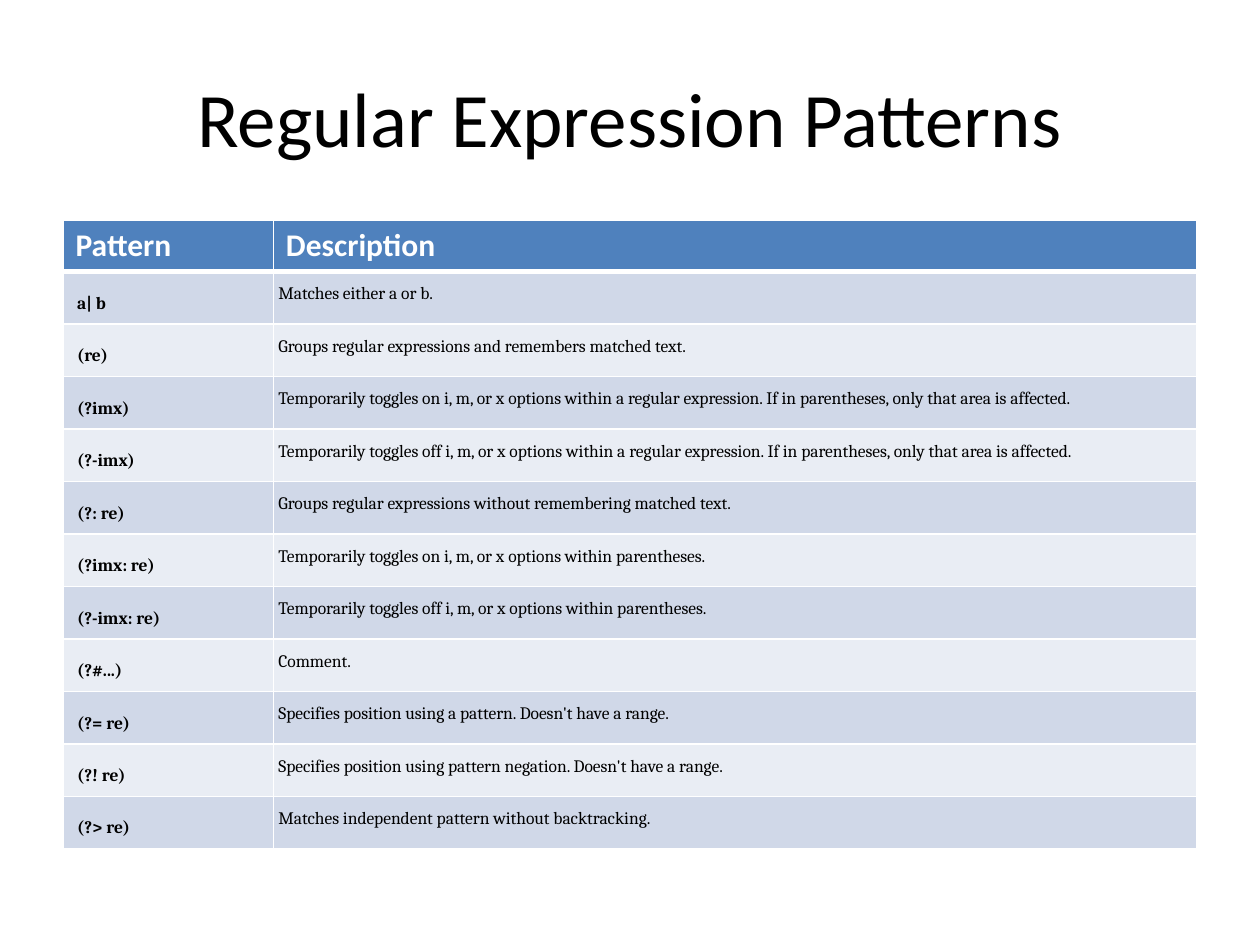
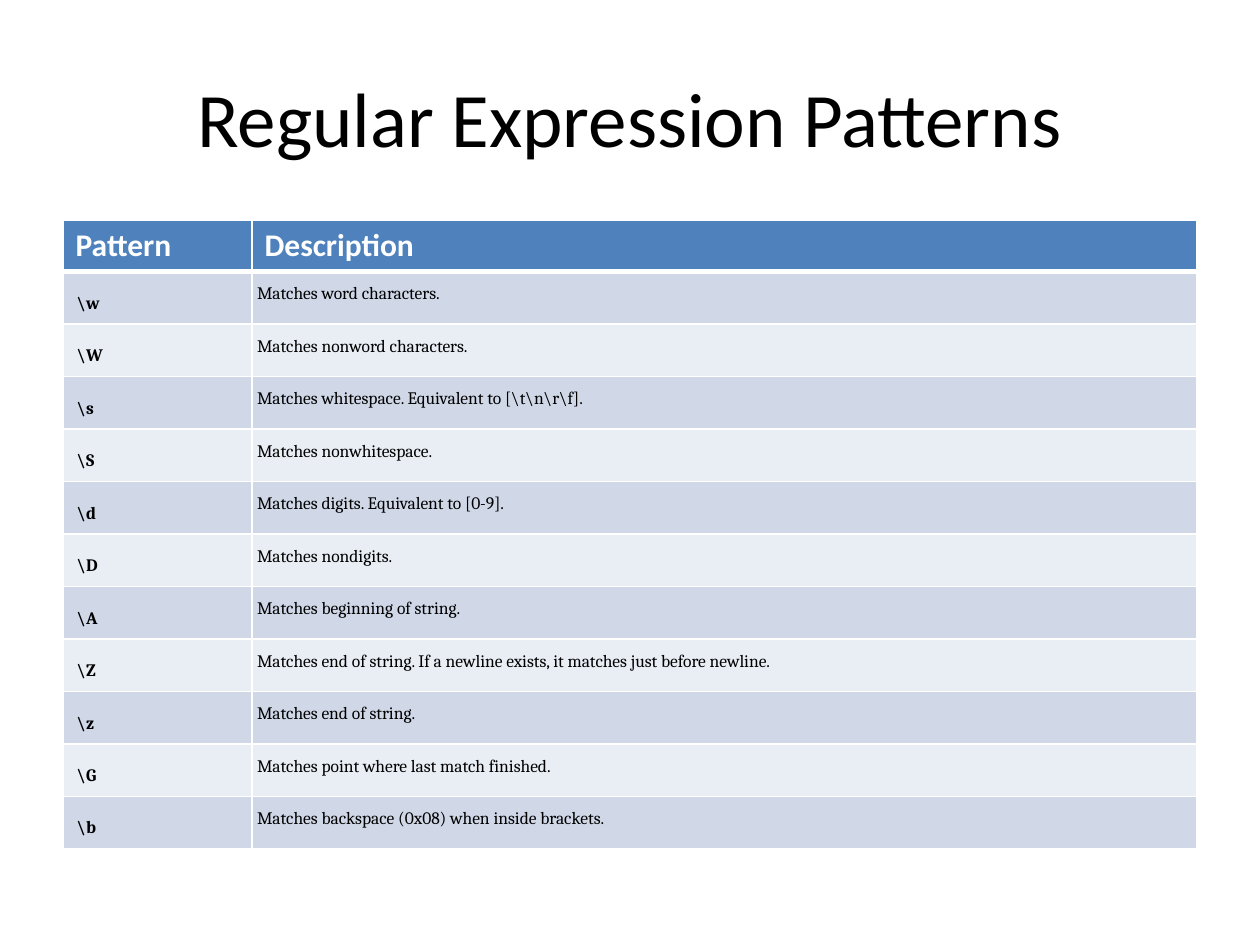
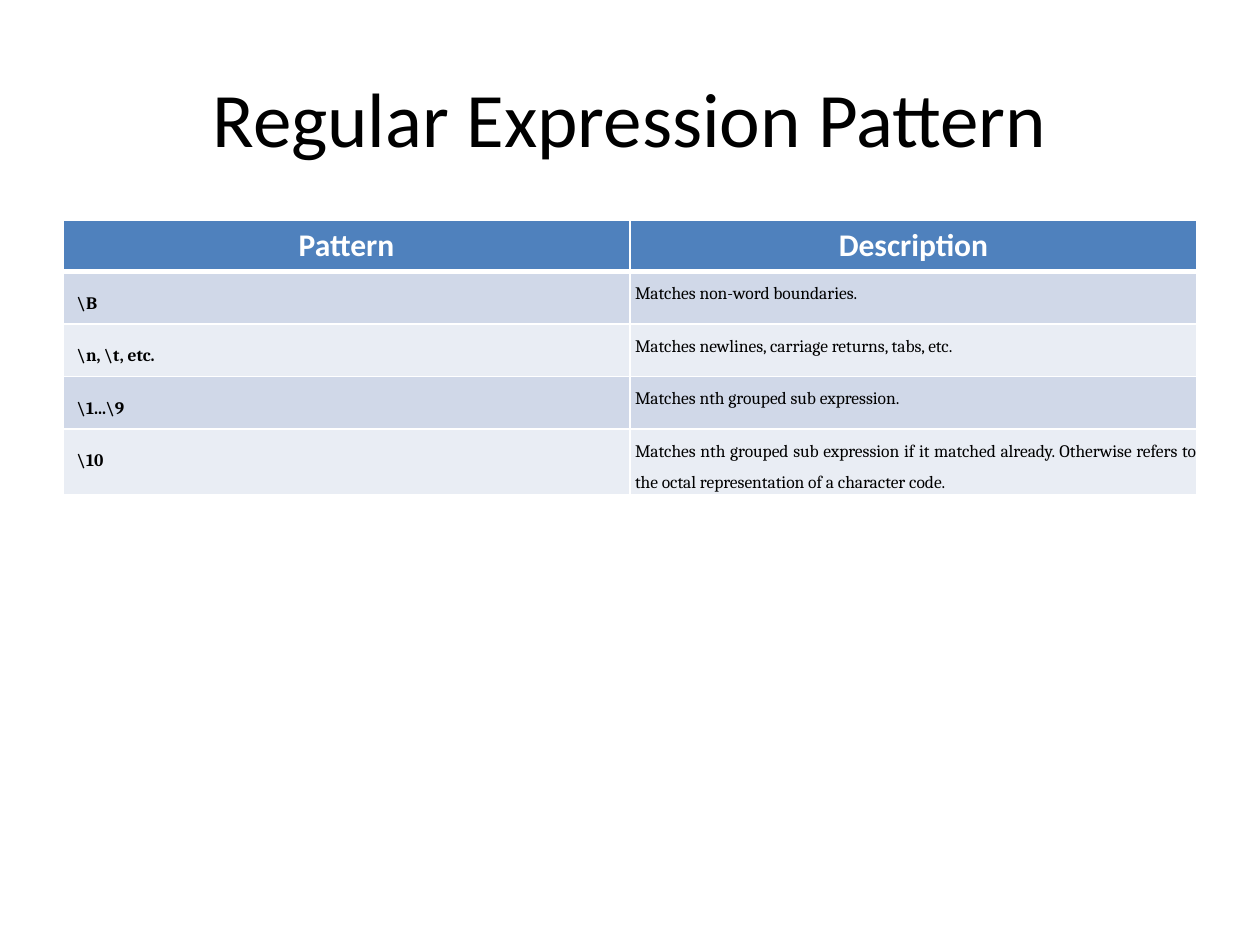
from dataclasses import dataclass

from lxml import etree
from pptx import Presentation
from pptx import util as u
from pptx.dml.color import RGBColor
from pptx.enum import text
from pptx.oxml.ns import qn

# Shared colours and fonts
BLACK = RGBColor(0x00, 0x00, 0x00)
WHITE = RGBColor(0xFF, 0xFF, 0xFF)
HEADER_BLUE = RGBColor(0x4F, 0x81, 0xBD)
BANDS = (RGBColor(0xD0, 0xD8, 0xE8), RGBColor(0xE9, 0xED, 0xF4))

TITLE_FONT = dict(name="Calibri", size=u.Pt(44), bold=False, color=BLACK)
HEADER_FONT = dict(name="Calibri", size=u.Pt(18), bold=True, color=WHITE)
PATTERN_FONT = dict(name="Cambria", size=u.Pt(10), bold=True, color=BLACK)
DESCRIPTION_FONT = PATTERN_FONT | dict(bold=False)

# Shared layout
LEFT, WIDTH = u.Inches(0.5), u.Inches(9)
TITLE_BOX = dict(left=LEFT, top=u.Inches(0.3), width=WIDTH, height=u.Inches(1.25))
TABLE_TOP = u.Inches(1.75)
HEADER_HEIGHT, ROW_HEIGHT = u.Inches(0.4), u.Inches(0.41)
BODY_PARAGRAPH = dict(alignment=text.PP_ALIGN.JUSTIFY, line_spacing=u.Pt(18),
                      space_after=u.Pt(7.2))
BODY_INDENT = u.Inches(0.03)
BODY_COLUMNS = ((PATTERN_FONT, u.Pt(6)), (DESCRIPTION_FONT, u.Inches(0.01)))
HEADINGS = ("Pattern", "Description")
THIN, THICK = u.Pt(1), u.Pt(3)


@dataclass(frozen=True)
class PatternSlide:
    title: str
    pattern_width: float
    rows: tuple[tuple[str, str], ...]
    header_alignment: text.PP_ALIGN = text.PP_ALIGN.LEFT


SLIDES = (
    PatternSlide("Regular Expression Patterns", 1.67, (
        ("a| b", "Matches either a or b."),
        ("(re)", "Groups regular expressions and remembers matched text."),
        ("(?imx)", "Temporarily toggles on i, m, or x options within a regular "
                   "expression. If in parentheses, only that area is affected."),
        ("(?-imx)", "Temporarily toggles off i, m, or x options within a regular "
                    "expression. If in parentheses, only that area is affected."),
        ("(?: re)", "Groups regular expressions without remembering matched text."),
        ("(?imx: re)", "Temporarily toggles on i, m, or x options within parentheses."),
        ("(?-imx: re)", "Temporarily toggles off i, m, or x options within parentheses."),
        ("(?#...)", "Comment."),
        ("(?= re)", "Specifies position using a pattern. Doesn't have a range."),
        ("(?! re)", "Specifies position using pattern negation. Doesn't have a range."),
        ("(?> re)", "Matches independent pattern without backtracking."),
    )),
    PatternSlide("Regular Expression Patterns", 1.5, (
        (r"\w", "Matches word characters."),
        (r"\W", "Matches nonword characters."),
        (r"\s", r"Matches whitespace. Equivalent to [\t\n\r\f]."),
        (r"\S", "Matches nonwhitespace."),
        (r"\d", "Matches digits. Equivalent to [0-9]."),
        (r"\D", "Matches nondigits."),
        (r"\A", "Matches beginning of string."),
        (r"\Z", "Matches end of string. If a newline exists, it matches just "
                "before newline."),
        (r"\z", "Matches end of string."),
        (r"\G", "Matches point where last match finished."),
        (r"\b", "Matches backspace (0x08) when inside brackets."),
    )),
    PatternSlide("Regular Expression Pattern", 4.5, (
        (r"\B", "Matches non-word boundaries."),
        (r"\n, \t, etc.", "Matches newlines, carriage returns, tabs, etc."),
        (r"\1...\9", "Matches nth grouped sub expression."),
        (r"\10", "Matches nth grouped sub expression if it matched already. "
                 "Otherwise refers to the octal representation of a character code."),
    ), text.PP_ALIGN.CENTER),
)


def set_attributes(target, values: dict) -> None:
    for name, value in values.items():
        setattr(target, name, value)


def write_text(paragraph, words: str, font: dict, paragraph_format: dict) -> None:
    set_attributes(paragraph, paragraph_format)
    run = paragraph.add_run()
    run.text = words
    set_attributes(run.font, {k: v for k, v in font.items() if k != "color"})
    run.font.color.rgb = font["color"]


def set_borders(cell, top: int = THIN, bottom: int = THIN) -> None:
    properties = cell._tc.get_or_add_tcPr()
    for side, width in zip("LRTB", (THIN, THIN, top, bottom)):
        line = etree.SubElement(properties, qn(f"a:ln{side}"), w=str(int(width)))
        fill = etree.SubElement(line, qn("a:solidFill"))
        etree.SubElement(fill, qn("a:srgbClr"), val=str(WHITE))


def fill_cell(cell, color: RGBColor) -> None:
    cell.fill.solid()
    cell.fill.fore_color.rgb = color


def add_title(slide, title: str) -> None:
    placeholder = slide.shapes.title
    set_attributes(placeholder, TITLE_BOX)
    placeholder.text_frame.vertical_anchor = text.MSO_ANCHOR.MIDDLE
    write_text(placeholder.text_frame.paragraphs[0], title, TITLE_FONT,
               dict(alignment=text.PP_ALIGN.CENTER))


def add_pattern_table(slide, content: PatternSlide) -> None:
    height = HEADER_HEIGHT + ROW_HEIGHT * len(content.rows)
    table = slide.shapes.add_table(len(content.rows) + 1, len(HEADINGS),
                                   LEFT, TABLE_TOP, WIDTH, height).table
    table.columns[0].width = u.Inches(content.pattern_width)
    table.columns[1].width = WIDTH - table.columns[0].width

    # Header row
    table.rows[0].height = HEADER_HEIGHT
    for column, heading in enumerate(HEADINGS):
        cell = table.cell(0, column)
        set_borders(cell, bottom=THICK)
        fill_cell(cell, HEADER_BLUE)
        write_text(cell.text_frame.paragraphs[0], heading, HEADER_FONT,
                   dict(alignment=content.header_alignment))

    # Banded body rows
    for row, entry in enumerate(content.rows, start=1):
        table.rows[row].height = ROW_HEIGHT
        for column, (words, (font, margin)) in enumerate(zip(entry, BODY_COLUMNS)):
            cell = table.cell(row, column)
            set_borders(cell, top=THICK if row == 1 else THIN)
            fill_cell(cell, BANDS[(row - 1) % 2])
            set_attributes(cell, {f"margin_{side}": margin
                                  for side in ("left", "right", "top", "bottom")})
            paragraph = cell.text_frame.paragraphs[0]
            write_text(paragraph, words, font, BODY_PARAGRAPH)
            indent = paragraph._p.get_or_add_pPr()
            indent.set("marL", str(int(BODY_INDENT)))
            indent.set("indent", "0")


def main() -> None:
    presentation = Presentation()
    presentation.slide_width, presentation.slide_height = u.Inches(10), u.Inches(7.5)
    title_only = presentation.slide_layouts[5]
    for content in SLIDES:
        slide = presentation.slides.add_slide(title_only)
        add_title(slide, content.title)
        add_pattern_table(slide, content)
    presentation.save("out.pptx")


if __name__ == "__main__":
    main()
